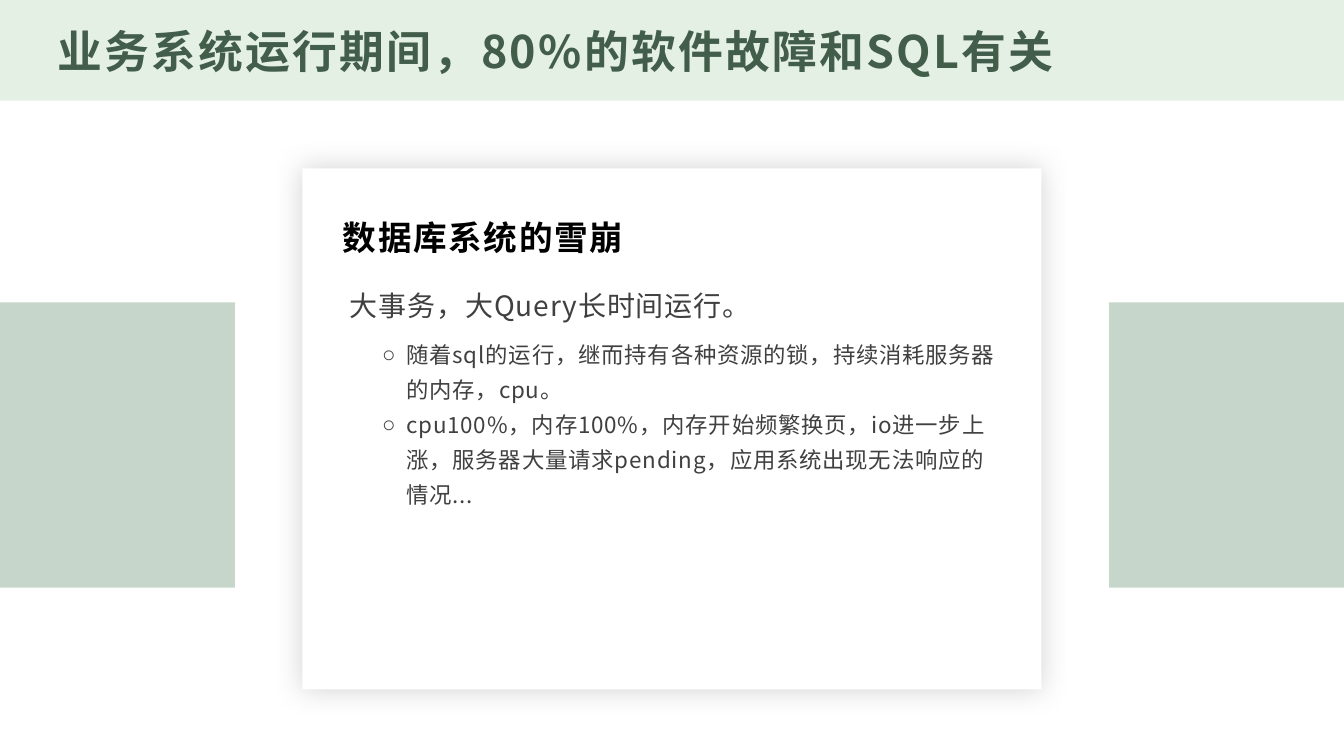
import pptx
import pptx.util
import pptx.dml.color
import pptx.enum.shapes
import pptx.enum.text
import pptx.oxml.ns
import lxml.etree

Inches = pptx.util.Inches
Pt = pptx.util.Pt
ANCHOR = pptx.enum.text.MSO_ANCHOR

COLORS = {
    "band": "E4F0E4",
    "card": "FFFFFF",
    "shade": "BFBFBF",
    "side": "8EAF98",
    "title": "425D4A",
    "head": "000000",
    "body": "404040",
}


def rgb(name):
    return pptx.dml.color.RGBColor.from_string(COLORS[name])


def add_xml(parent, tag, **attrs):
    return lxml.etree.SubElement(parent, pptx.oxml.ns.qn(tag), attrs)


def write(para, text, font="Noto Sans CJK SC", size=16, color="body", bold=False,
          track=0.6, line=None, after=0, bullet=None):
    """Fill one paragraph with text in the given format."""
    para.alignment = pptx.enum.text.PP_ALIGN.LEFT
    para.space_before = Pt(0)
    para.space_after = Pt(after)
    if line:
        para.line_spacing = line
    # Bullet and indent
    props = para._p.get_or_add_pPr()
    if bullet:
        para.level = 1
        left, indent = Inches(0.56), Inches(-0.24)
        add_xml(props, "a:buChar", char=bullet)
    else:
        left = indent = 0
        add_xml(props, "a:buNone")
    props.set("marL", str(left))
    props.set("indent", str(indent))
    # Characters
    run = para.add_run()
    run.text = text
    run.font.name = font
    run.font.size = Pt(size)
    run.font.bold = bold
    run.font.color.rgb = rgb(color)
    mark = run._r.get_or_add_rPr()
    mark.set("spc", str(round(track * 100)))
    add_xml(mark, "a:ea", typeface=font)


class Deck:
    def __init__(self, wide, high):
        self.file = pptx.Presentation()
        self.file.slide_width = Inches(wide)
        self.file.slide_height = Inches(high)
        self.slide = None

    def new(self):
        self.slide = self.file.slides.add_slide(self.file.slide_layouts[1])

    def rect(self, left, top, width, height, color, alpha=None):
        kind = pptx.enum.shapes.MSO_SHAPE.RECTANGLE
        shape = self.slide.shapes.add_shape(
            kind, Inches(left), Inches(top), Inches(width), Inches(height))
        shape.shadow.inherit = False
        shape.fill.solid()
        shape.fill.fore_color.rgb = rgb(color)
        shape.line.fill.background()
        if alpha:
            tint = shape._element.spPr.find(".//" + pptx.oxml.ns.qn("a:srgbClr"))
            add_xml(tint, "a:alpha", val=str(alpha * 1000))
        return shape

    def glow(self, shape, color, alpha, blur):
        effects = shape._element.spPr.find(pptx.oxml.ns.qn("a:effectLst"))
        shade = add_xml(effects, "a:outerShdw", blurRad=str(Pt(blur)), dist="0",
                        dir="5400000", algn="ctr", rotWithShape="0")
        tint = add_xml(shade, "a:srgbClr", val=COLORS[color])
        add_xml(tint, "a:alpha", val=str(alpha * 1000))

    def frame(self, shape, left, top, width, height, anchor):
        """Place a text shape in front and return its text frame."""
        shape.left, shape.top = Inches(left), Inches(top)
        shape.width, shape.height = Inches(width), Inches(height)
        self.slide.shapes._spTree.append(shape._element)
        frame = shape.text_frame
        frame.word_wrap = True
        frame.auto_size = pptx.enum.text.MSO_AUTO_SIZE.NONE
        frame.vertical_anchor = anchor
        frame.margin_left = frame.margin_right = Inches(0.07)
        frame.margin_top = frame.margin_bottom = Inches(0.03)
        return frame

    def title(self, text, *place, **style):
        frame = self.frame(self.slide.shapes.title, *place, ANCHOR.MIDDLE)
        write(frame.paragraphs[0], text, **style)

    def label(self, text, *place, **style):
        box = self.slide.shapes.add_textbox(0, 0, 0, 0)
        frame = self.frame(box, *place, ANCHOR.BOTTOM)
        write(frame.paragraphs[0], text, **style)

    def body(self, lead, items, *place):
        frame = self.frame(self.slide.placeholders[1], *place, ANCHOR.TOP)
        write(frame.paragraphs[0], lead, size=20, line=1.3, after=8)
        for item in items:
            write(frame.add_paragraph(), item, line=1.3, bullet="○")


def main():
    deck = Deck(13.33, 7.5)
    deck.new()

    # Title band and central card
    deck.rect(0, 0, 13.33, 1, "band")
    card = deck.rect(3, 1.67, 7.33, 5.17, "card")
    deck.glow(card, "shade", alpha=70, blur=20)

    # Text
    deck.title("业务系统运行期间，80%的软件故障和SQL有关", 0.5, 0.17, 12.33, 0.67,
               size=32, color="title", bold=True, track=1.6)
    deck.label("数据库系统的雪崩", 3.33, 2, 6.67, 0.58,
               size=24, color="head", bold=True, track=1.2, line=1.3, after=8)
    deck.body("大事务，大Query长时间运行。", [
        "随着sql的运行，继而持有各种资源的锁，持续消耗服务器的内存，cpu。",
        "cpu100%，内存100%，内存开始频繁换页，io进一步上涨，"
        "服务器大量请求pending，应用系统出现无法响应的情况...",
    ], 3.4, 2.73, 6.67, 3.84)

    # Side panels
    for left in (11, 0):
        deck.rect(left, 3, 2.33, 2.83, "side", alpha=50)

    deck.file.save("out.pptx")


if __name__ == "__main__":
    main()
